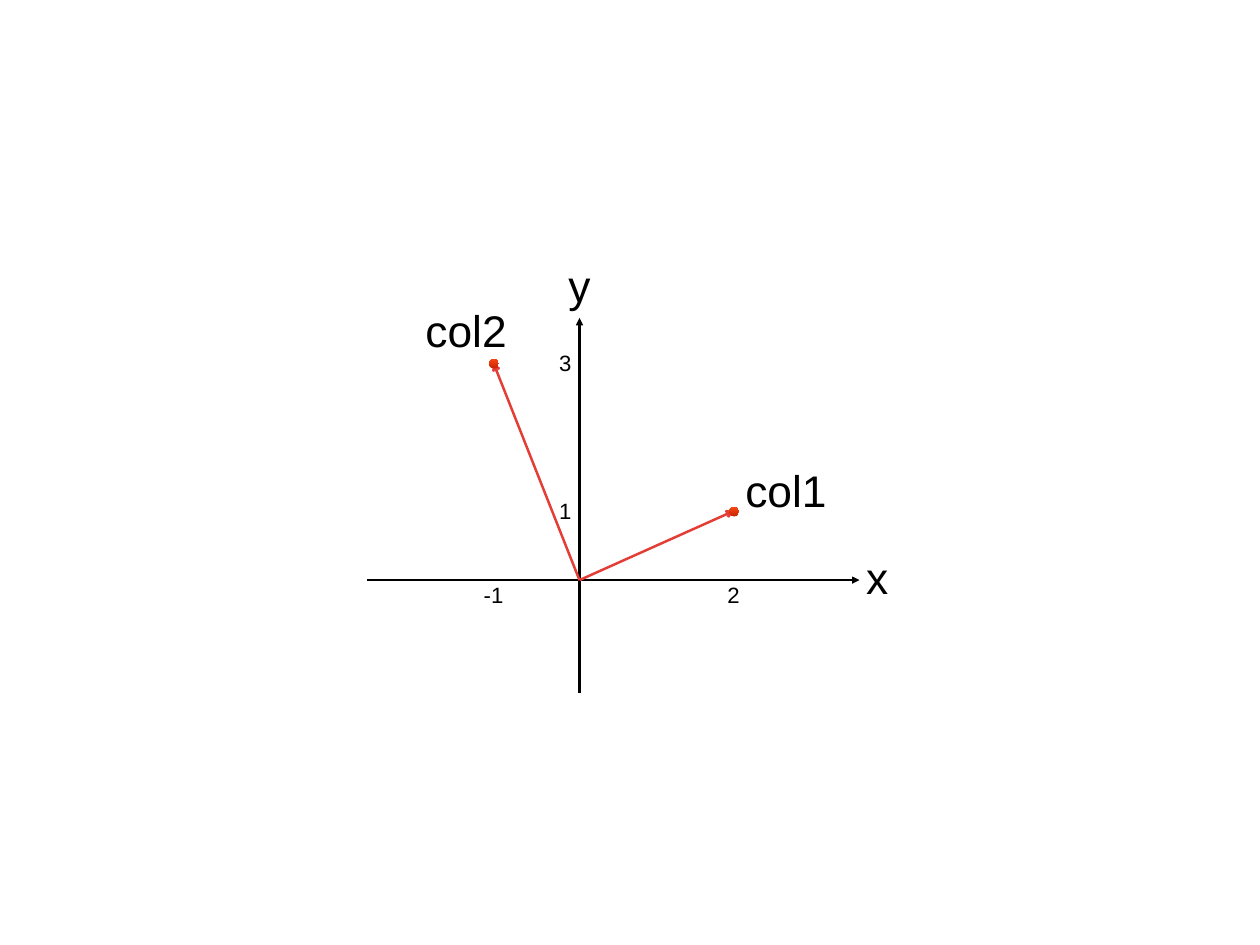
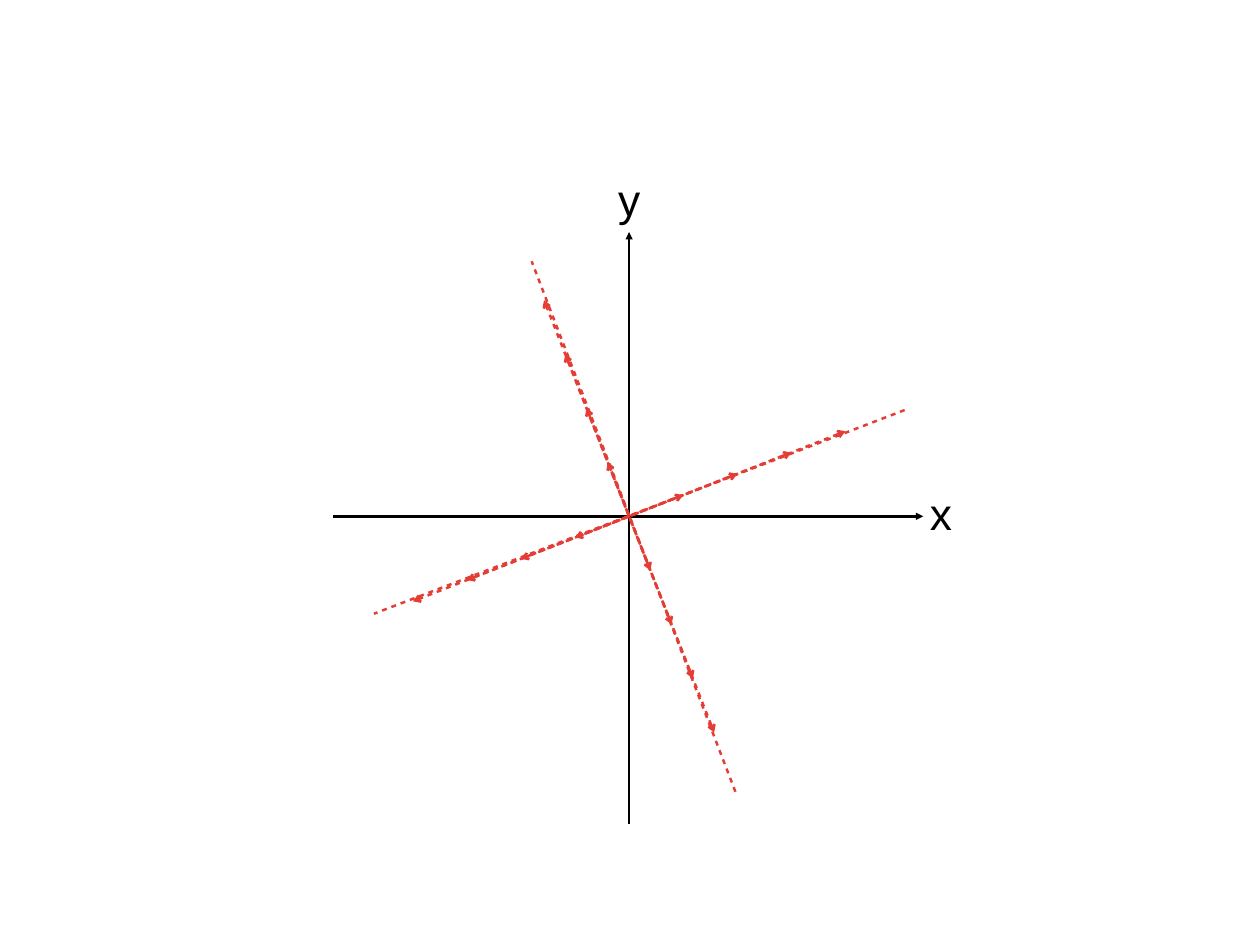
"""Two slides of vectors on x and y axes."""
import pptx
import pptx.dml.color
import pptx.enum.shapes
import pptx.enum.text
import pptx.oxml
import pptx.oxml.ns
import pptx.util

Inches, Pt = pptx.util.Inches, pptx.util.Pt
tint = pptx.dml.color.RGBColor.from_string
BLACK, RED = "000000", "E43D35"
FRAME = {
    "word_wrap": False,
    "vertical_anchor": pptx.enum.text.MSO_ANCHOR.MIDDLE,
    "margin_left": Inches(0.06),
    "margin_right": Inches(0.06),
    "margin_top": Inches(0.06),
    "margin_bottom": Inches(0.06),
}


def line(slide, start, end, color, head=None, tail=None, dash=False):
    ends = [Inches(v) for v in (*start, *end)]
    link = slide.shapes.add_connector(
        pptx.enum.shapes.MSO_CONNECTOR.STRAIGHT, *ends)
    link.line.width = Pt(2)
    link.line.color.rgb = tint(color)
    space = pptx.oxml.ns.nsdecls("a")
    parts = []
    if dash:
        parts.append(f'<a:custDash {space}><a:ds d="200000" sp="200000"/></a:custDash>')
    for tag, kind in (("headEnd", head), ("tailEnd", tail)):
        if kind:
            parts.append(f'<a:{tag} {space} type="{kind}"/>')
    pen = link.line._get_or_add_ln()
    for part in parts:
        pen.append(pptx.oxml.parse_xml(part))
    link._element.spPr.append(pptx.oxml.parse_xml(f"<a:effectLst {space}/>"))


def label(slide, text, x, y, size=36):
    wide = 0.15 + 0.0064 * size * len(text)
    high = 0.13 + 0.016 * size
    box = slide.shapes.add_textbox(
        Inches(x - wide / 2), Inches(y - high / 2), Inches(wide), Inches(high))
    frame = box.text_frame
    for name, value in FRAME.items():
        setattr(frame, name, value)
    para = frame.paragraphs[0]
    para.alignment = pptx.enum.text.PP_ALIGN.CENTER
    run = para.add_run()
    run.text = text
    style = {"name": "Arial", "size": Pt(size)}
    for name, value in style.items():
        setattr(run.font, name, value)
    run.font.color.rgb = tint(BLACK)


deck = pptx.Presentation()
deck.slide_width, deck.slide_height = Inches(14.22), Inches(10.67)

AXES = [
    {"mid": (6.54, 6.55), "x": (4.14, 9.7), "y": (7.82, 3.59)},
    {"mid": (7.1, 5.83), "x": (3.76, 10.42), "y": (9.3, 2.62)},
]
pages = []
for axis in AXES:
    page = deck.slides.add_slide(deck.slide_layouts[6])
    pages.append(page)
    (midx, midy), (left, right), (low, top) = axis.values()
    line(page, (midx, low), (midx, top), BLACK, tail="triangle")
    line(page, (left, midy), (right, midy), BLACK, tail="triangle")
    label(page, "x", right + 0.2, midy - 0.04)
    label(page, "y", midx, top - 0.38)

basis, span = pages

start = AXES[0]["mid"]
VECTORS = [
    ((5.57, 4.1), "col2", (5.26, 3.72), "-1", "3"),
    ((8.28, 5.77), "col1", (8.87, 5.53), "2", "1"),
]
for tip, name, place, xval, yval in VECTORS:
    line(basis, start, tip, RED, tail="arrow")
    dot = basis.shapes.add_shape(
        pptx.enum.shapes.MSO_SHAPE.OVAL, Inches(tip[0] - 0.05),
        Inches(tip[1] - 0.05), Inches(0.11), Inches(0.11))
    dot.shadow.inherit = False
    dot.line.fill.background()
    dot.fill.gradient()
    dot.fill.gradient_angle = 270
    for stop, shade in zip(dot.fill.gradient_stops, ("FA4813", "C82506")):
        stop.color.rgb = tint(shade)
    label(basis, name, *place)
    label(basis, xval, tip[0], 6.72, 18)
    label(basis, yval, 6.38, tip[1], 18)

midx, midy = AXES[1]["mid"]
RAYS = [((1.2, 3.11), (-1.1, -2.88), None)]
RAYS += [((0.24 * n, 0.61 * n), (-0.24 * n, -0.61 * n), "arrow")
         for n in range(1, 5)]
for turned in (False, True):
    for *ends, tip in RAYS:
        if turned:
            ends = [(down, -over) for over, down in ends]
        start, end = [(midx + over, midy + down) for over, down in ends]
        line(span, start, end, RED, tip, tip, dash=True)

deck.save("out.pptx")
